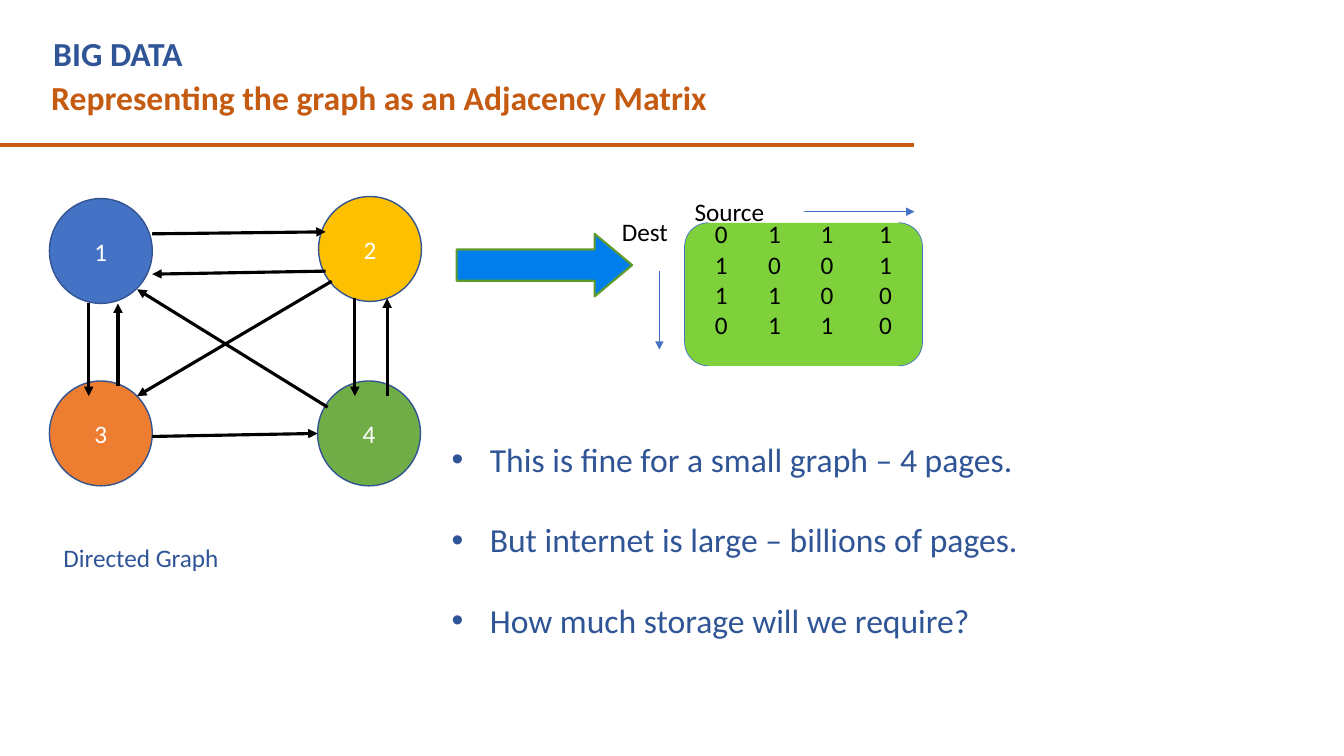
from lxml import etree
from pptx import Presentation
from pptx.dml.color import RGBColor
from pptx.enum.shapes import MSO_CONNECTOR as Connector, MSO_SHAPE as Shape
from pptx.enum.text import MSO_ANCHOR as Anchor, PP_ALIGN as Align
from pptx.oxml.ns import qn
from pptx.util import Inches, Pt

NAVY, RUST, BLUE = "2F5597", "C55A11", "4472C4"
WHITE, BLACK = "FFFFFF", "000000"


def color(value):
    return RGBColor.from_string(value)


class SlideBuilder:
    font_name = "Calibri"

    def __init__(self, slide):
        self.slide = slide

    def style(self, paragraph, size, ink, bold=False, align=Align.LEFT):
        paragraph.alignment = align
        font = paragraph.font
        font.name, font.size, font.bold = self.font_name, Pt(size), bold
        font.color.rgb = color(ink)

    def text(self, box, content, size=18, ink=BLACK, bold=False, wrap=True):
        frame = self.slide.shapes.add_textbox(*map(Inches, box)).text_frame
        frame.word_wrap = wrap
        frame.text = content
        self.style(frame.paragraphs[0], size, ink, bold)

    def bullets(self, box, items, size, ink, gap):
        frame = self.slide.shapes.add_textbox(*map(Inches, box)).text_frame
        frame.word_wrap = True
        frame.text = "\n".join(items)
        for index, paragraph in enumerate(frame.paragraphs):
            props = paragraph._p.get_or_add_pPr()
            props.set("marL", str(Inches(0.38)))
            props.set("indent", str(-Inches(0.38)))
            etree.SubElement(props, qn("a:buFont"), typeface="Arial")
            etree.SubElement(props, qn("a:buChar"), char="•")
            if index:
                paragraph.space_before = Pt(gap)
            self.style(paragraph, size, ink)

    def shape(self, kind, box, fill, outline, width):
        item = self.slide.shapes.add_shape(kind, *map(Inches, box))
        item.shadow.inherit = False
        item.fill.solid()
        item.fill.fore_color.rgb = color(fill)
        item.line.color.rgb = color(outline)
        item.line.width = Pt(width)
        return item

    def node(self, label, left, top, fill):
        circle = self.shape(Shape.OVAL, (left, top, 1.02, 1.04), fill, "325491", 1)
        circle.text_frame.text = label
        circle.text_frame.vertical_anchor = Anchor.MIDDLE
        self.style(circle.text_frame.paragraphs[0], 18, WHITE, align=Align.CENTER)

    def matrix(self, box, rows, tabs):
        bracket = self.shape(Shape.DOUBLE_BRACKET, box, "7FD13B", BLUE, 0.5)
        frame = bracket.text_frame
        frame.vertical_anchor = Anchor.MIDDLE
        frame.margin_left, frame.margin_bottom = Inches(0.23), Inches(0.35)
        frame.text = "\n".join("\t".join(row) for row in rows)
        for paragraph in frame.paragraphs:
            props = paragraph._p.get_or_add_pPr()
            tab_list = etree.SubElement(props, qn("a:tabLst"))
            for stop in tabs:
                etree.SubElement(tab_list, qn("a:tab"), pos=str(Inches(stop)), algn="l")
            self.style(paragraph, 18, BLACK)

    def line(self, start, end, ink, width, arrow=True):
        link = self.slide.shapes.add_connector(
            Connector.STRAIGHT, *map(Inches, (*start, *end)))
        link.line.color.rgb = color(ink)
        link.line.width = Pt(width)
        if arrow:
            etree.SubElement(link.line._get_or_add_ln(), qn("a:tailEnd"), type="triangle")
        etree.SubElement(link._element.spPr, qn("a:effectLst"))


def main():
    deck = Presentation()
    deck.slide_width, deck.slide_height = Inches(13.33), Inches(7.5)
    page = SlideBuilder(deck.slides.add_slide(deck.slide_layouts[6]))

    # Heading
    page.text((0.41, 0.71, 8.75, 0.5), "Representing the graph as an Adjacency Matrix",
              24, RUST, bold=True)
    page.line((0, 1.44), (9.07, 1.44), RUST, 3, arrow=False)
    page.text((0.43, 0.28, 8.2, 0.5), "BIG DATA", 24, NAVY, bold=True)

    # Directed graph
    page.text((0.53, 5.33, 3.54, 0.4), "Directed Graph", ink=NAVY)
    for node in (("1", 0.49, 1.97, BLUE), ("2", 3.16, 1.95, "FFC000"),
                 ("3", 0.49, 3.78, "ED7D31"), ("4", 3.15, 3.78, "70AD47")):
        page.node(*node)
    edges = (
        ((1.51, 2.32), (3.23, 2.3)),   # 1 to 2
        ((0.88, 3.01), (0.88, 3.93)),  # 1 to 3
        ((3.29, 2.79), (1.36, 3.93)),  # 2 to 3
        ((3.23, 2.69), (1.51, 2.72)),  # 2 to 1
        ((3.52, 2.96), (3.52, 3.93)),  # 2 to 4
        ((3.84, 3.93), (3.84, 2.96)),  # 4 to 2
        ((3.25, 4.04), (1.36, 2.87)),  # 4 to 1
        ((1.17, 3.83), (1.17, 3.01)),  # 3 to 1
        ((1.51, 4.33), (3.15, 4.3)),   # 3 to 4
    )
    for start, end in edges:
        page.line(start, end, BLACK, 2.25)

    # Adjacency matrix
    becomes = page.shape(Shape.RIGHT_ARROW, (4.53, 2.32, 1.74, 0.62),
                         "007EEB", "5E9B2C", 1.5)
    becomes.adjustments[1] = 0.6
    page.matrix((6.79, 2.21, 2.36, 1.42), ("0111", "1001", "1100", "0110"),
                (0.53, 1.05, 1.63))
    page.text((6.79, 1.9, 0.9, 0.4), "Source", wrap=False)
    page.text((6.07, 2.1, 0.66, 0.4), "Dest", wrap=False)
    page.line((6.54, 2.69), (6.54, 3.47), BLUE, 0.5)
    page.line((7.97, 2.1), (9.07, 2.1), BLUE, 0.5)

    # Storage question
    page.bullets((4.38, 4.3, 5.92, 2.12),
                 ("This is fine for a small graph – 4 pages.",
                  "But internet is large – billions of pages.",
                  "How much storage will we require?"), 24, NAVY, gap=29)

    deck.save("out.pptx")


if __name__ == "__main__":
    main()
